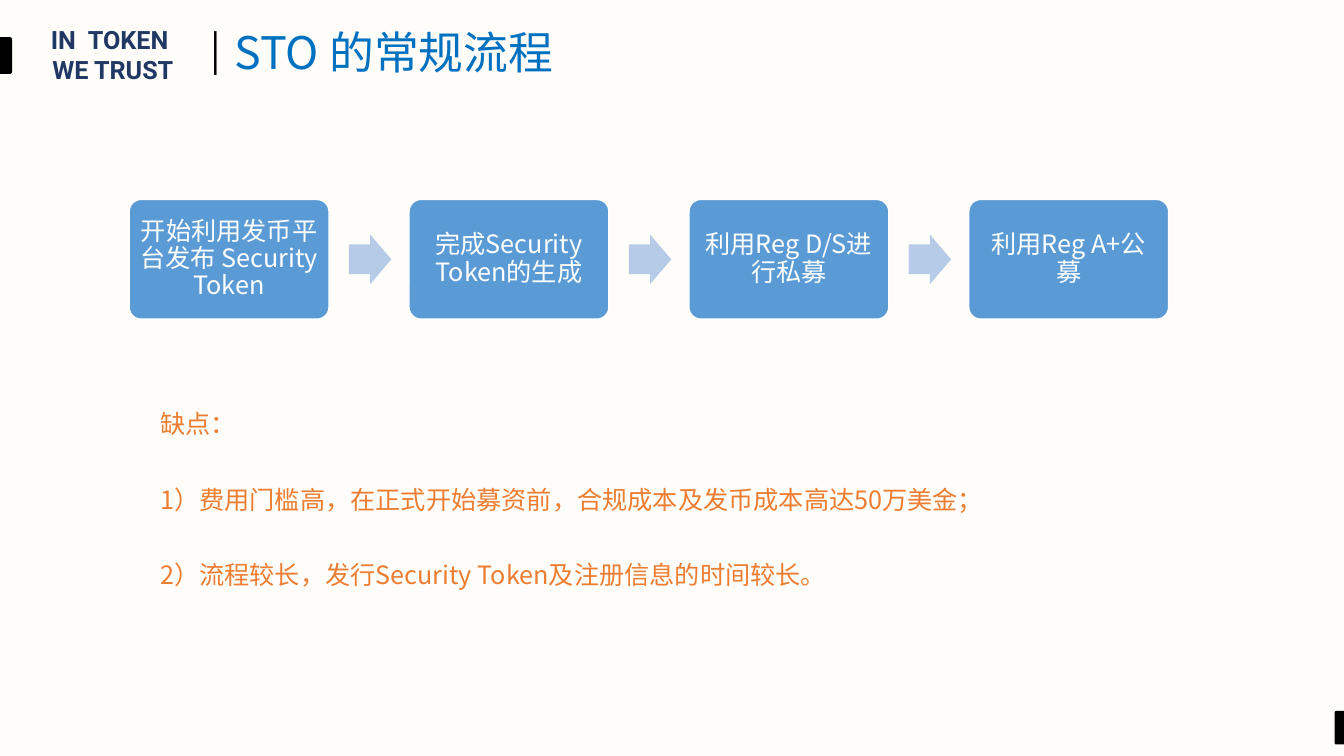
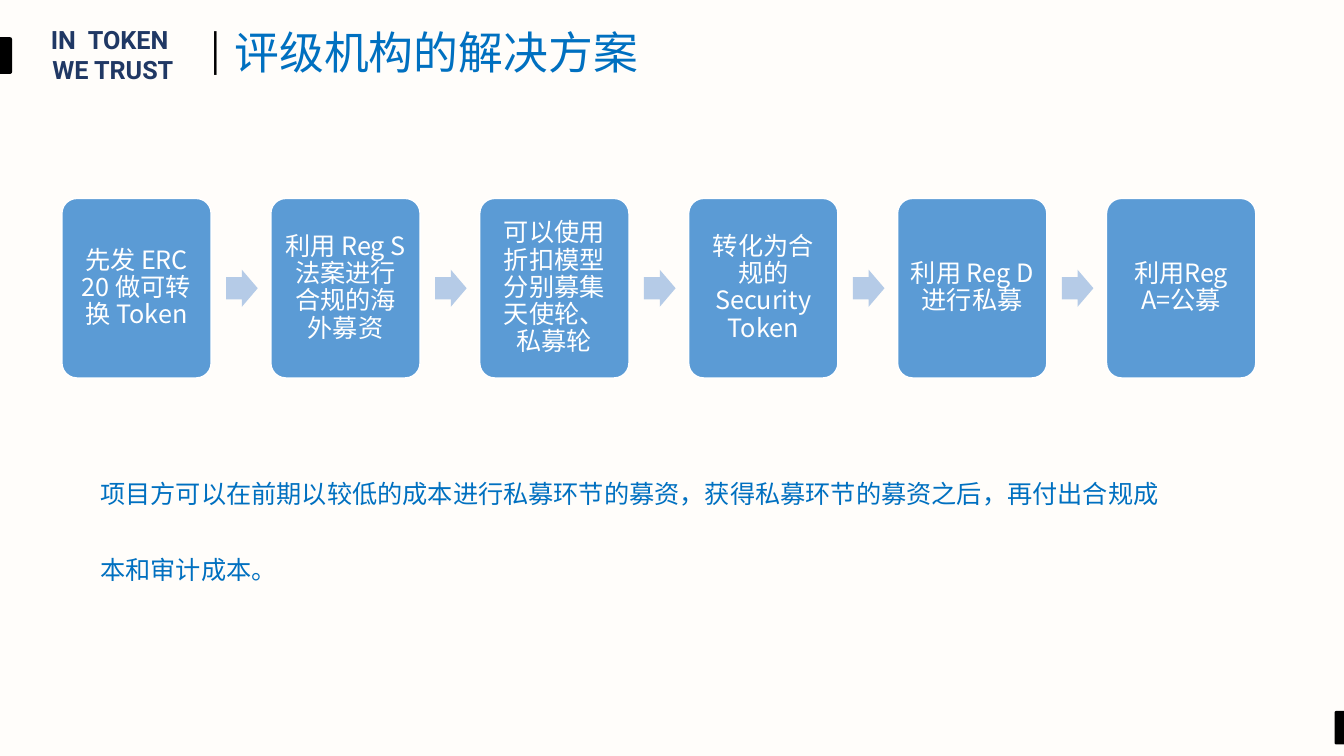
import pptx
import pptx.util
import pptx.dml.color
import pptx.enum.shapes
import pptx.enum.text
import pptx.oxml.ns
import lxml.etree

PX = 9525  # EMU per px, 96 px to the inch
W, H = 1280, 720
FONT, LOGO_FONT = "Noto Sans CJK SC", "Roboto"
COLORS = {
    "bg": "FFFDFA", "black": "000000", "navy": "203864", "title": "0070C0",
    "card": "5B9BD5", "arrow": "B5CBE7", "white": "FFFFFF", "warning": "ED7D31",
}
SHAPE = pptx.enum.shapes.MSO_SHAPE
ALIGN = pptx.enum.text.PP_ALIGN
ANCHOR = pptx.enum.text.MSO_ANCHOR


def px(*values):
    return [pptx.util.Emu(round(v * PX)) for v in values]


def rgb(name):
    return pptx.dml.color.RGBColor.from_string(COLORS[name])


def write(tf, text, size=18, color="black", font=FONT, bold=False,
          align=ALIGN.LEFT, anchor=ANCHOR.TOP, spacing=1.0, wrap=True, inset=None):
    """Fill a text frame, one paragraph per line of text."""
    tf.word_wrap = wrap
    tf.vertical_anchor = anchor
    if inset is not None:
        tf.margin_left, tf.margin_top, tf.margin_right, tf.margin_bottom = px(*[inset] * 4)
    for i, line in enumerate(text.split("\n")):
        p = tf.paragraphs[0] if i == 0 else tf.add_paragraph()
        p.alignment, p.line_spacing = align, spacing
        r = p.add_run()
        r.text = line
        r.font.name, r.font.size, r.font.bold = font, pptx.util.Pt(size), bold
        r.font.color.rgb = rgb(color)
        # East Asian glyphs take their own typeface setting
        ea = lxml.etree.SubElement(r.font._element, pptx.oxml.ns.qn("a:ea"))
        ea.set("typeface", font)


def add_text(s, box, text, **fmt):
    write(s.shapes.add_textbox(*px(*box)).text_frame, text, **fmt)


def add_shape(s, kind, box, fill, line=None, adj=(), rotation=0):
    sp = s.shapes.add_shape(kind, *px(*box))
    sp.shadow.inherit = False
    sp.rotation = rotation
    sp.fill.solid()
    sp.fill.fore_color.rgb = rgb(fill)
    if line:
        sp.line.color.rgb = rgb(line)
        sp.line.width = pptx.util.Pt(1)
    else:
        sp.line.fill.background()
    for i, value in enumerate(adj):
        sp.adjustments[i] = value
    return sp


def add_frame(prs, title):
    """New slide with background, edge tabs, slogan, divider and title."""
    s = prs.slides.add_slide(prs.slide_layouts[6])
    s.background.fill.solid()
    s.background.fill.fore_color.rgb = rgb("bg")
    # Edge tabs
    add_shape(s, SHAPE.ROUND_2_SAME_RECTANGLE, (1260, 688, 32, 10), "black", rotation=270)
    add_shape(s, SHAPE.ROUND_2_SAME_RECTANGLE, (-12, 47, 35, 12), "black", rotation=90)
    # Heading
    add_text(s, (191, 19, 30, 55), "|", size=28, wrap=False)
    add_text(s, (12, 18, 191, 68), "IN  TOKEN \nWE TRUST", color="navy",
             font=LOGO_FONT, bold=True, align=ALIGN.CENTER)
    add_text(s, (214, 25, 904, 55), title, size=32, color="title",
             anchor=ANCHOR.MIDDLE, spacing=0.9)
    return s


def add_flow(s, box, steps):
    """Row of cards joined by arrows; every gap is 0.4 of a card's width."""
    x, y, w, h = box
    n = len(steps)
    card = w / (n + 0.4 * (n - 1))
    arrow_w, arrow_h = 0.212 * card, 0.248 * card
    for i, step in enumerate(steps):
        left = x + i * 1.4 * card
        sp = add_shape(s, SHAPE.ROUNDED_RECTANGLE, (left, y, card, h),
                       "card", line="white", adj=(0.1,))
        write(sp.text_frame, step, color="white", align=ALIGN.CENTER,
              anchor=ANCHOR.MIDDLE, spacing=0.9, inset=7)
        if i < n - 1:
            add_shape(s, SHAPE.RIGHT_ARROW,
                      (left + 1.1 * card, y + (h - arrow_h) / 2, arrow_w, arrow_h),
                      "arrow", adj=(0.6, 0.5))


def add_process_slide(prs, title, flow_box, steps, note_box, note, note_color):
    s = add_frame(prs, title)
    add_flow(s, flow_box, steps)
    add_text(s, note_box, note, color=note_color, spacing=2.5)


def main():
    prs = pptx.Presentation()
    prs.slide_width, prs.slide_height = px(W, H)

    # Usual process and its drawbacks
    add_process_slide(
        prs, "STO 的常规流程", (123, 190, 990, 114),
        ["开始利用发币平台发布 Security Token", "完成Security Token的生成",
         "利用Reg D/S进行私募", "利用Reg A+公募"],
        (143, 341, 995, 215),
        "缺点：\n"
        "1）费用门槛高，在正式开始募资前，合规成本及发币成本高达50万美金；\n"
        "2）流程较长，发行Security Token及注册信息的时间较长。",
        "warning")

    # Proposed solution
    add_process_slide(
        prs, "评级机构的解决方案", (59, 189, 1137, 171),
        ["先发 ERC 20 做可转换 Token", "利用 Reg S 法案进行合规的海外募资",
         "可以使用折扣模型分别募集天使轮、私募轮", "转化为合规的Security Token",
         "利用 Reg D进行私募", "利用Reg A=公募"],
        (86, 408, 1032, 143),
        "项目方可以在前期以较低的成本进行私募环节的募资，"
        "获得私募环节的募资之后，再付出合规成本和审计成本。",
        "title")

    prs.save("out.pptx")


if __name__ == "__main__":
    main()
